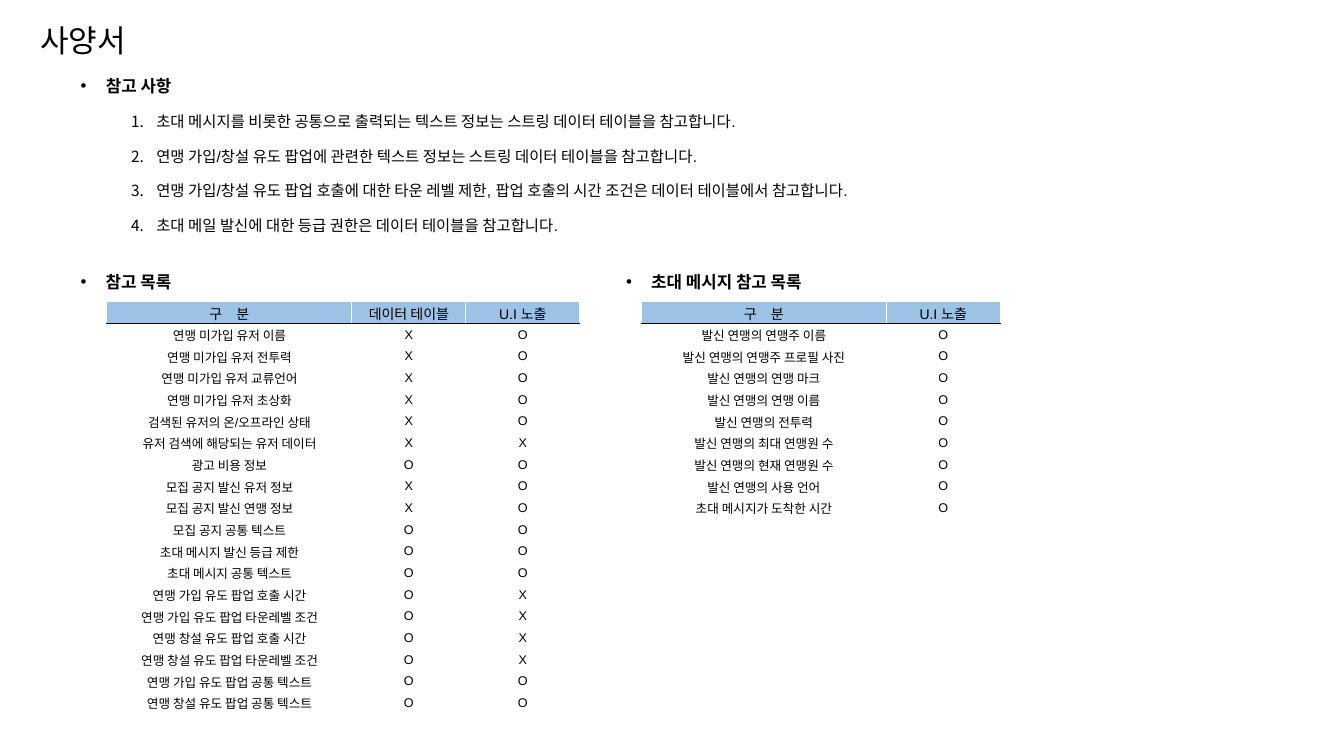
from lxml import etree
from pptx import Presentation
from pptx.dml.color import RGBColor
from pptx.enum.text import MSO_ANCHOR, MSO_AUTO_SIZE, PP_ALIGN
from pptx.oxml.ns import qn
from pptx.util import Inches, Pt

TOP, MIDDLE = MSO_ANCHOR.TOP, MSO_ANCHOR.MIDDLE
LEFT, CENTER = PP_ALIGN.LEFT, PP_ALIGN.CENTER
FIXED = MSO_AUTO_SIZE.NONE
COLORS = {"text": "000000", "header": "9CC2E5", "paper": "FFFFFF"}

prs = Presentation()
prs.slide_width, prs.slide_height = Inches(13.33), Inches(7.5)
X, Y = prs.slide_width / 100, prs.slide_height / 100
LABEL_COL, MARK_COL = int(18.23 * X), int(8.48 * X)
HEADER_ROW, BODY_ROW = int(2.93 * Y), int(2.87 * Y)
TABLE_TOP = int(39.87 * Y)


def write(p, text, size, bold=False):
    r = p.add_run()
    r.text = text
    r.font.name, r.font.size, r.font.bold = "Arial", Pt(size), bold
    r.font.color.rgb = RGBColor.from_string(COLORS["text"])
    return r


def mark(p, margin, tag, **attrs):
    pPr = p._p.get_or_add_pPr()
    pPr.set("marL", str(Inches(margin)))
    pPr.set("indent", str(Inches(-0.25)))
    color = etree.SubElement(pPr, qn("a:buClr"))
    etree.SubElement(color, qn("a:srgbClr"), val=COLORS["text"])
    etree.SubElement(pPr, qn("a:buFont"), typeface="Arial")
    etree.SubElement(pPr, qn(tag), **attrs)
    p.line_spacing = 1.5


s = prs.slides.add_slide(prs.slide_layouts[1])
title, notes = s.placeholders
list_heading = s.shapes.add_textbox(0, 0, 0, 0)
message_heading = s.shapes.add_textbox(0, 0, 0, 0)

boxes = [
    (title, 2.25, 0.13, 48.69, 8.53),
    (notes, 5.25, 8, 92.05, 32.8),
    (list_heading, 5.25, 34, 22.81, 8.13),
    (message_heading, 45.84, 34, 22.81, 8.13),
]
for sp, x, y, w, h in boxes:
    sp.left, sp.top = int(x * X), int(y * Y)
    sp.width, sp.height = int(w * X), int(h * Y)
    tf = sp.text_frame
    tf.word_wrap, tf.auto_size, tf.vertical_anchor = True, FIXED, TOP

p = title.text_frame.paragraphs[0]
p.alignment, p.line_spacing = LEFT, 1.4
write(p, "사양서", 22.2)

headings = [
    (notes, "참고 사항"),
    (list_heading, "참고 목록"),
    (message_heading, "초대 메시지 참고 목록"),
]
for sp, text in headings:
    p = sp.text_frame.paragraphs[0]
    mark(p, 0.25, "a:buChar", char="•")
    p.space_before = Pt(0)
    write(p, text, 12, True)

guidelines = [
    "초대 메시지를 비롯한 공통으로 출력되는 텍스트 정보는 스트링 데이터 테이블을 참고합니다.",
    "연맹 가입/창설 유도 팝업에 관련한 텍스트 정보는 스트링 데이터 테이블을 참고합니다.",
    "연맹 가입/창설 유도 팝업 호출에 대한 타운 레벨 제한, 팝업 호출의 시간 조건은 데이터 테이블에서 참고합니다.",
    "초대 메일 발신에 대한 등급 권한은 데이터 테이블을 참고합니다.",
]
for text in guidelines:
    p = notes.text_frame.add_paragraph()
    p.level = 1
    mark(p, 0.75, "a:buAutoNum", type="arabicPeriod")
    p.space_before = Pt(5)
    write(p, text, 11)

reference_rows = [
    ("구 분", "데이터 테이블", "U.I 노출"),
    ("연맹 미가입 유저 이름", "X", "O"),
    ("연맹 미가입 유저 전투력", "X", "O"),
    ("연맹 미가입 유저 교류언어", "X", "O"),
    ("연맹 미가입 유저 초상화", "X", "O"),
    ("검색된 유저의 온/오프라인 상태", "X", "O"),
    ("유저 검색에 해당되는 유저 데이터", "X", "X"),
    ("광고 비용 정보", "O", "O"),
    ("모집 공지 발신 유저 정보", "X", "O"),
    ("모집 공지 발신 연맹 정보", "X", "O"),
    ("모집 공지 공통 텍스트", "O", "O"),
    ("초대 메시지 발신 등급 제한", "O", "O"),
    ("초대 메시지 공통 텍스트", "O", "O"),
    ("연맹 가입 유도 팝업 호출 시간", "O", "X"),
    ("연맹 가입 유도 팝업 타운레벨 조건", "O", "X"),
    ("연맹 창설 유도 팝업 호출 시간", "O", "X"),
    ("연맹 창설 유도 팝업 타운레벨 조건", "O", "X"),
    ("연맹 가입 유도 팝업 공통 텍스트", "O", "O"),
    ("연맹 창설 유도 팝업 공통 텍스트", "O", "O"),
]
message_items = [
    "발신 연맹의 연맹주 이름",
    "발신 연맹의 연맹주 프로필 사진",
    "발신 연맹의 연맹 마크",
    "발신 연맹의 연맹 이름",
    "발신 연맹의 전투력",
    "발신 연맹의 최대 연맹원 수",
    "발신 연맹의 현재 연맹원 수",
    "발신 연맹의 사용 언어",
    "초대 메시지가 도착한 시간",
]
message_rows = [("구 분", "U.I 노출")] + [(item, "O") for item in message_items]

for x, rows in [(7.95, reference_rows), (47.71, message_rows)]:
    widths = [LABEL_COL] + [MARK_COL] * (len(rows[0]) - 1)
    heights = [HEADER_ROW] + [BODY_ROW] * (len(rows) - 1)
    frame = s.shapes.add_table(len(rows), len(widths), int(x * X), TABLE_TOP, sum(widths), sum(heights))
    table = frame.table
    table.first_row = table.horz_banding = False
    for column, width in zip(table.columns, widths):
        column.width = width
    for i, values in enumerate(rows):
        table.rows[i].height = heights[i]
        for j, text in enumerate(values):
            cell = table.cell(i, j)
            cell.margin_left = cell.margin_right = cell.margin_top = Inches(0.01)
            cell.margin_bottom = 0
            cell.vertical_anchor = MIDDLE
            for side in "LRTB":
                dark = (i, side) in [(0, "B"), (1, "T")]
                line = etree.SubElement(cell._tc.get_or_add_tcPr(), qn(f"a:ln{side}"), w=str(Pt(1)))
                fill = etree.SubElement(line, qn("a:solidFill"))
                etree.SubElement(fill, qn("a:srgbClr"), val=COLORS["text" if dark else "paper"])
            cell.fill.solid()
            cell.fill.fore_color.rgb = RGBColor.from_string(COLORS["paper" if i else "header"])
            p = cell.text_frame.paragraphs[0]
            p.alignment = CENTER
            r = write(p, text, 9 if i else 10)
            if i == j == 0:
                r.font._element.set("spc", "400")

prs.save("out.pptx")
